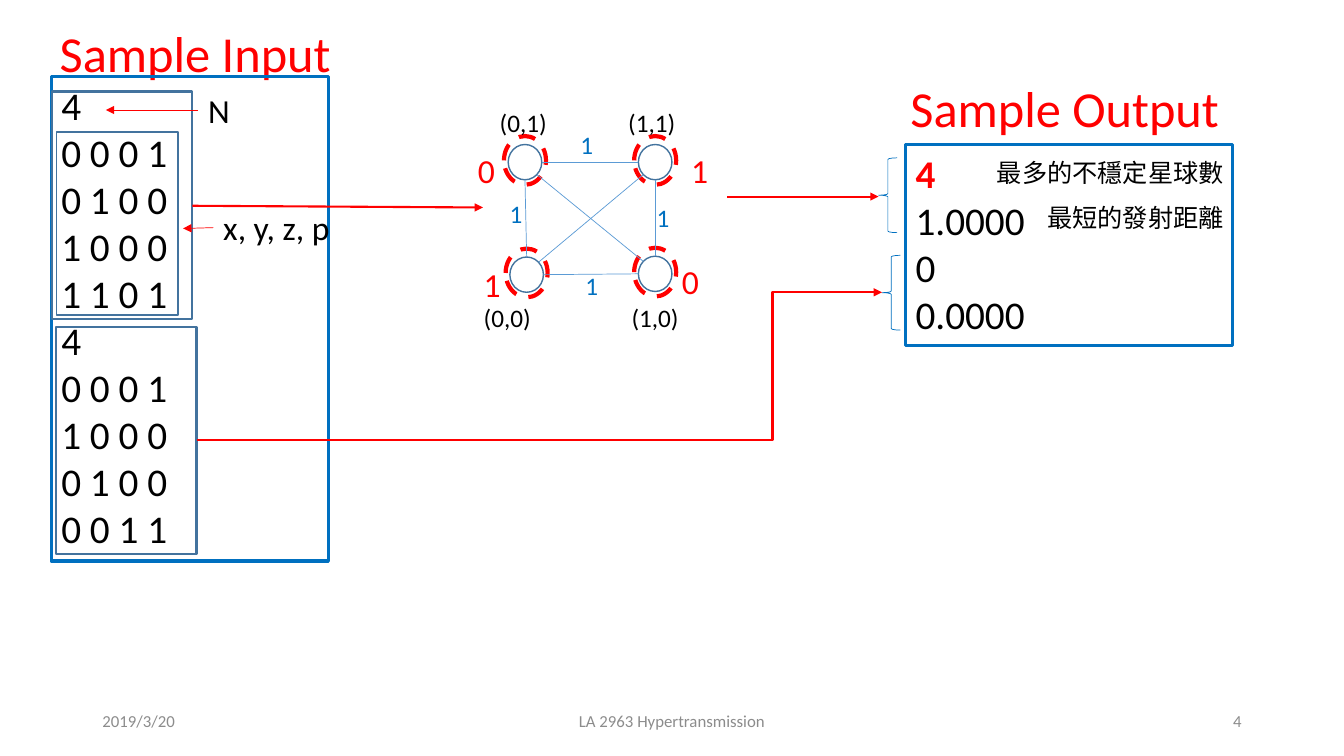
from dataclasses import dataclass
from math import hypot

from lxml.etree import SubElement
from pptx import Presentation
from pptx.dml.color import RGBColor
from pptx.enum.dml import MSO_LINE_DASH_STYLE as Dash
from pptx.enum.shapes import MSO_CONNECTOR as Connector
from pptx.enum.shapes import MSO_SHAPE as Preset
from pptx.enum.text import MSO_ANCHOR as Anchor
from pptx.enum.text import MSO_AUTO_SIZE as AutoSize
from pptx.enum.text import PP_ALIGN as Align
from pptx.oxml.ns import qn
from pptx.slide import Slide
from pptx.text.text import TextFrame
from pptx.util import Inches, Pt

COLUMNS, ROWS = 160, 90
SLIDE_WIDTH, SLIDE_HEIGHT = Inches(13.33), Inches(7.5)


@dataclass(frozen=True)
class Theme:
    latin: str = "Calibri"
    chinese: str = "Noto Sans CJK SC"
    black: str = "000000"
    red: str = "FF0000"
    blue: str = "0070C0"
    outline: str = "43739E"
    edge: str = "5B9BD5"
    grey: str = "8C8C8C"
    heading: float = 36
    sample: float = 28
    note: float = 24
    label: float = 18
    footer: float = 12
    sample_leading: float = 33.6


THEME = Theme()


@dataclass(frozen=True)
class Box:
    """A rectangle in grid columns and rows."""
    column: float
    row: float
    columns: float
    rows: float

    def place(self) -> tuple[int, int, int, int]:
        return (across(self.column), down(self.row),
                across(self.columns), down(self.rows))


@dataclass(frozen=True)
class Label:
    text: str
    box: Box
    size: float
    color: str = THEME.black
    align: Align = Align.LEFT
    anchor: Anchor = Anchor.TOP
    font: str = THEME.latin


@dataclass(frozen=True)
class Outline:
    preset: Preset
    box: Box
    color: str
    width: float
    dash: Dash | None = None


@dataclass(frozen=True)
class Line:
    start: tuple[float, float]
    end: tuple[float, float]
    color: str
    width: float
    arrow: bool = True
    bend: float | None = None


@dataclass(frozen=True)
class Planet:
    column: float
    row: float
    position: str
    position_at: tuple[float, float]
    value: str
    value_at: tuple[float, float]

    def ring(self, columns: float, rows: float, lift: float = 0) -> Box:
        return Box(self.column - columns / 2, self.row - lift - rows / 2, columns, rows)

    def rim(self, right: int, below: int) -> tuple[float, float]:
        """Point where the circle is met in the given direction."""
        length = hypot(right, below)
        return self.column + 2 * right / length, self.row + 2.1 * below / length


PLANETS = [
    Planet(62.5, 19.3, "(0,1)", (58.3, 12.2), "0", (55.7, 17.2)),
    Planet(78, 19.3, "(1,1)", (73.6, 12.2), "1", (81.1, 17.2)),
    Planet(62.7, 32.7, "(0,0)", (56.4, 35.4), "1", (56.4, 30.8)),
    Planet(78, 32.6, "(1,0)", (74, 35.4), "0", (80, 30.5)),
]
# first planet, second planet, direction from first to second
EDGES = [(0, 2, 0, 1), (0, 1, 1, 0), (1, 3, 0, 1), (2, 3, 1, 0), (2, 1, 1, -1), (0, 3, 1, 1)]
EDGE_WEIGHTS = [(68.5, 31.6), (77, 23.5), (59.5, 23), (67.9, 14.8)]

INPUT_LINES = ["4", "0 0 0 1", "0 1 0 0", "1 0 0 0", "1 1 0 1",
               "4", "0 0 0 1", "1 0 0 0", "0 1 0 0", "0 0 1 1"]
OUTPUT_LINES = ["4", "1.0000", "0", "0.0000"]

TITLE = Label("Sample Input", Box(5.9, 2, 37.8, 8.5), THEME.heading, THEME.red)
LABELS = [
    Label("Sample Output", Box(107.2, 8.6, 43.1, 8.5), THEME.heading, THEME.red),
    Label("N", Box(23.6, 10.1, 7.4, 6), THEME.note),
    Label("x, y, z, p", Box(25.4, 24.1, 18.1, 6), THEME.note),
    Label("最多的不穩定星球數", Box(117.5, 18.2, 32.9, 4.8), THEME.label, font=THEME.chinese),
    Label("最短的發射距離", Box(123.5, 23.5, 25, 4.8), THEME.label, font=THEME.chinese),
    *(Label(text, Box(column, 83.4, columns, 4.8), THEME.footer, THEME.grey, align, Anchor.MIDDLE)
      for text, column, columns, align in [
          ("2019/3/20", 11, 36, Align.LEFT),
          ("LA 2963 Hypertransmission", 53, 54, Align.CENTER),
          ("4", 113, 36, Align.RIGHT)]),
    *(Label("1", Box(*at, 4.3, 4.8), THEME.label, THEME.blue) for at in EDGE_WEIGHTS),
    *(Label(planet.position, Box(*planet.position_at, 8.2, 4.8), THEME.label)
      for planet in PLANETS),
    *(Label(planet.value, Box(*planet.value_at, 5.2, 6), THEME.note, THEME.red)
      for planet in PLANETS),
]
OUTLINES = [
    *(Outline(Preset.OVAL, planet.ring(4, 4.2), THEME.outline, 1) for planet in PLANETS),
    *(Outline(Preset.OVAL, planet.ring(5, 5.8, 0.2), THEME.red, 3, Dash.DASH)
      for planet in PLANETS),
    Outline(Preset.RECTANGLE, Box(6.7, 15.7, 14.5, 21.8), THEME.outline, 1),
    Outline(Preset.RECTANGLE, Box(6.2, 10.9, 16.7, 27.1), THEME.outline, 1.5),
    Outline(Preset.RECTANGLE, Box(6.7, 38.9, 16.7, 27.1), THEME.outline, 1.5),
    Outline(Preset.LEFT_BRACE, Box(104.6, 18.8, 2.2, 8.9), THEME.blue, 0.5),
    Outline(Preset.LEFT_BRACE, Box(105, 30.4, 2.2, 8.9), THEME.blue, 0.5),
]
LINES = [
    *(Line(PLANETS[first].rim(right, below), PLANETS[second].rim(-right, -below),
           THEME.edge, 0.5, arrow=False) for first, second, right, below in EDGES),
    Line((23.6, 13.1), (12.6, 13.1), THEME.red, 0.5),
    Line((25.4, 27.1), (21.8, 27.2), THEME.red, 0.5),
    Line((22.9, 24.5), (57.5, 24.7), THEME.red, 1.5),
    Line((86.6, 23.4), (104.6, 23.4), THEME.red, 1.5),
    Line((23.5, 52.4), (105, 34.8), THEME.red, 1.5, bend=0.84),
]


def across(columns: float) -> int:
    return round(SLIDE_WIDTH * columns / COLUMNS)


def down(rows: float) -> int:
    return round(SLIDE_HEIGHT * rows / ROWS)


def move(shape, box: Box) -> None:
    shape.left, shape.top, shape.width, shape.height = box.place()


def stroke(shape, color: str, width: float) -> None:
    shape.line.color.rgb = RGBColor.from_string(color)
    shape.line.width = Pt(width)


def add_run(paragraph, text: str, size: float, color: str, font: str = THEME.latin,
            bold: bool = False) -> None:
    run = paragraph.add_run()
    run.text = text
    run.font.size, run.font.bold, run.font.name = Pt(size), bold, font
    run.font.color.rgb = RGBColor.from_string(color)
    if font == THEME.chinese:
        SubElement(run.font._element, qn("a:ea"), typeface=font)


def write_label(frame: TextFrame, label: Label) -> None:
    frame.word_wrap = True
    frame.auto_size = AutoSize.NONE
    frame.vertical_anchor = label.anchor
    paragraph = frame.paragraphs[0]
    paragraph.alignment = label.align
    add_run(paragraph, label.text, label.size, label.color, label.font)


def fill_sample(placeholder, box: Box, lines: list[str], highlight_first: bool = False) -> None:
    move(placeholder, box)
    stroke(placeholder, THEME.blue, 2.25)
    frame = placeholder.text_frame
    frame.auto_size = AutoSize.NONE
    for index, text in enumerate(lines):
        paragraph = frame.add_paragraph() if index else frame.paragraphs[0]
        paragraph.space_before = Pt(0)
        paragraph.line_spacing = Pt(THEME.sample_leading)
        properties = paragraph._p.get_or_add_pPr()
        properties.set("marL", "0")
        properties.set("indent", "0")
        SubElement(properties, qn("a:buNone"))
        special = highlight_first and index == 0
        add_run(paragraph, text, THEME.sample, THEME.red if special else THEME.black, bold=special)


def draw_outline(slide: Slide, outline: Outline) -> None:
    shape = slide.shapes.add_shape(outline.preset, *outline.box.place())
    shape.shadow.inherit = False
    shape.fill.background()
    stroke(shape, outline.color, outline.width)
    if outline.dash is not None:
        shape.line.dash_style = outline.dash


def draw_line(slide: Slide, line: Line) -> None:
    kind = Connector.STRAIGHT if line.bend is None else Connector.ELBOW
    connector = slide.shapes.add_connector(
        kind, across(line.start[0]), down(line.start[1]), across(line.end[0]), down(line.end[1]))
    stroke(connector, line.color, line.width)
    properties = connector._element.spPr
    if line.arrow:
        SubElement(properties.find(qn("a:ln")), qn("a:tailEnd"), type="triangle")
    if line.bend is not None:
        guides = properties.find(qn("a:prstGeom")).find(qn("a:avLst"))
        SubElement(guides, qn("a:gd"), name="adj1", fmla=f"val {round(line.bend * 100000)}")
    SubElement(properties, qn("a:effectLst"))


def main() -> None:
    presentation = Presentation()
    presentation.slide_width, presentation.slide_height = SLIDE_WIDTH, SLIDE_HEIGHT
    slide = presentation.slides.add_slide(presentation.slide_layouts.get_by_name("Two Content"))
    title, sample_input, sample_output = slide.placeholders
    move(title, TITLE.box)
    write_label(title.text_frame, TITLE)
    fill_sample(sample_input, Box(6.1, 9.1, 33, 57.7), INPUT_LINES)
    fill_sample(sample_output, Box(107.8, 17.2, 38.9, 23.9), OUTPUT_LINES, highlight_first=True)
    for outline in OUTLINES:
        draw_outline(slide, outline)
    for line in LINES:
        draw_line(slide, line)
    for label in LABELS:
        write_label(slide.shapes.add_textbox(*label.box.place()).text_frame, label)
    presentation.save("out.pptx")


if __name__ == "__main__":
    main()
